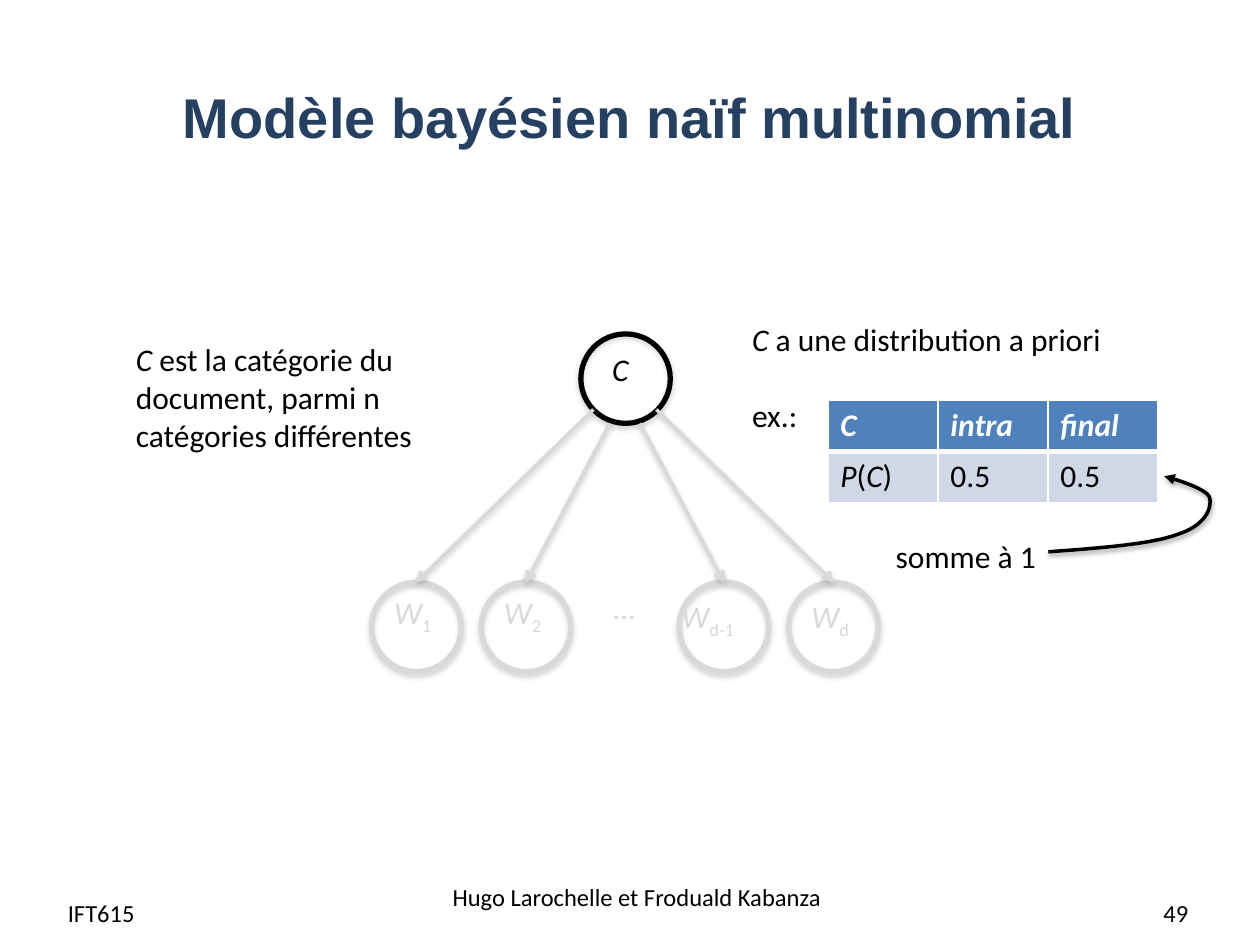
from lxml import etree
from pptx import Presentation
from pptx.dml.color import RGBColor
from pptx.enum import shapes, text
from pptx.oxml import ns
from pptx.util import Inches, Pt

BLACK, WHITE, GREY, NAVY = "000000", "FFFFFF", "D9D9D9", "254061"
HEADER, BODY = "4F81BD", "D0D8E8"
NODE = 0.71
ROOT_LEFT, ROOT_TOP, LEAF_TOP = 4.61, 2.65, 4.62


def color(code):
    return RGBColor.from_string(code)


def add_child(parent, tag, **attributes):
    child = etree.SubElement(parent, ns.qn(tag))
    for name, value in attributes.items():
        child.set(name, str(value))
    return child


def add_shadow(item, tone, alpha, distance):
    properties = item._element.spPr
    effects = properties.find(ns.qn("a:effectLst"))
    if effects is None:
        effects = add_child(properties, "a:effectLst")
    shadow = add_child(effects, "a:outerShdw", blurRad=Pt(3.1), dist=Pt(distance),
                       dir=90 * 60000, algn="ctr", rotWithShape=0)
    shade = add_child(shadow, "a:srgbClr", val=tone)
    add_child(shade, "a:alpha", val=alpha * 1000)


def set_line(item, tone, width, arrow=None):
    item.line.color.rgb = color(tone)
    item.line.width = Pt(width)
    if arrow:
        add_child(item.line._get_or_add_ln(), "a:tailEnd", type=arrow)


def add_spans(para, spans, tone, size=18, font="Calibri", bold=False):
    """Add (words, style) runs; style may hold "i" for italic or "_" for subscript."""
    for words, style in spans:
        span = para.add_run()
        span.text = words
        span.font.name = font
        span.font.size = Pt(size)
        span.font.bold = bold
        span.font.italic = "i" in style
        span.font.color.rgb = color(tone)
        if "_" in style:
            span._r.get_or_add_rPr().set("baseline", "-25000")


def add_text(page, place, spans, tone=BLACK, align="LEFT", anchor="TOP", **style):
    box = page.shapes.add_textbox(*map(Inches, place))
    frame = box.text_frame
    frame.word_wrap = True
    frame.vertical_anchor = getattr(text.MSO_ANCHOR, anchor)
    para = frame.paragraphs[0]
    para.alignment = getattr(text.PP_ALIGN, align)
    add_spans(para, spans, tone, **style)
    return frame


def add_node(page, left, top, tone):
    node = page.shapes.add_shape(shapes.MSO_SHAPE.OVAL, Inches(left), Inches(top),
                                 Inches(NODE), Inches(NODE))
    node.fill.background()
    set_line(node, tone, 3)
    node.shadow.inherit = False
    add_shadow(node, "808080", 35, 1.8)


def add_arrow(page, start, end):
    arrow = page.shapes.add_connector(shapes.MSO_CONNECTOR.STRAIGHT,
                                      *map(Inches, start + end))
    set_line(arrow, GREY, 2, "arrow")
    add_shadow(arrow, "808080", 38, 1.6)


def add_curve(page, start, segments, steps=16):
    """Draw cubic Bezier segments as a finely divided outline."""
    points, origin = [], start
    for first, second, end in segments:
        for step in range(1, steps + 1):
            t = step / steps
            s = 1 - t
            points.append(tuple(
                Inches(s**3 * a + 3 * s * s * t * b + 3 * s * t * t * c + t**3 * d)
                for a, b, c, d in zip(origin, first, second, end)))
        origin = end
    builder = page.shapes.build_freeform(*map(Inches, start))
    builder.add_line_segments(points, close=False)
    curve = builder.convert_to_shape()
    curve.fill.background()
    set_line(curve, BLACK, 2, "triangle")
    curve.shadow.inherit = False
    add_shadow(curve, BLACK, 38, 1.6)


def add_borders(cell, bottom):
    properties = cell._tc.get_or_add_tcPr()
    widths = {"a:lnL": 1, "a:lnR": 1, "a:lnT": 1, "a:lnB": bottom}
    for index, (tag, width) in enumerate(widths.items()):
        edge = etree.Element(ns.qn(tag), w=str(Pt(width)))
        add_child(add_child(edge, "a:solidFill"), "a:srgbClr", val=WHITE)
        properties.insert(index, edge)


def add_prior_table(page):
    rows = [
        [[("C", "i")], [("intra", "i")], [("final", "i")]],
        [[("P", "i"), ("(", ""), ("C", "i"), (")", "")], [("0.5", "")], [("0.5", "")]],
    ]
    looks = [(HEADER, WHITE, True, 3), (BODY, BLACK, False, 1)]
    table = page.shapes.add_table(2, 3, Inches(6.57), Inches(3.18),
                                  Inches(2.62), Inches(0.81)).table
    for r, (row, (fill, tone, bold, bottom)) in enumerate(zip(rows, looks)):
        for c, spans in enumerate(row):
            cell = table.cell(r, c)
            cell.fill.solid()
            cell.fill.fore_color.rgb = color(fill)
            add_borders(cell, bottom)
            add_spans(cell.text_frame.paragraphs[0], spans, tone, bold=bold)


def add_network(page):
    # Leaf left edge, start of its arrow, subscript, label position and width
    leaves = [
        (2.95, (4.71, 3.25), "1", (3.03, 4.66), 0.71),
        (3.82, (4.84, 3.36), "2", (3.90, 4.66), 0.79),
        (5.39, (5.08, 3.36), "d-1", (5.31, 4.69), 0.95),
        (6.26, (5.21, 3.25), "d", (6.34, 4.69), 0.79),
    ]
    add_node(page, ROOT_LEFT, ROOT_TOP, BLACK)
    for left, *_ in leaves:
        add_node(page, left, LEAF_TOP, GREY)
    add_text(page, (4.76, 4.62, 0.55, 0.51), [("...", "")], GREY)
    for left, start, *_ in leaves:
        add_arrow(page, start, (left + NODE / 2, LEAF_TOP))
    add_text(page, (4.76, 2.73, 0.55, 0.51), [("C", "i")])
    for _, _, index, corner, width in leaves:
        add_text(page, (*corner, width, 0.5), [("W", "i"), (index, "_")], GREY)


def add_footer(page):
    for place, words, align in [
        ((0.44, 7.04, 1.93, 0.4), "IFT615", "LEFT"),
        ((3.47, 6.92, 3.17, 0.4), "Hugo Larochelle et Froduald Kabanza", "CENTER"),
        ((7.2, 7.04, 2.33, 0.4), "49", "RIGHT"),
    ]:
        add_text(page, place, [(words, "")], align=align, anchor="MIDDLE", size=14)


def main():
    deck = Presentation()
    deck.slide_width, deck.slide_height = Inches(10), Inches(7.5)
    page = deck.slides.add_slide(deck.slide_layouts[6])

    add_text(page, (0.5, 0.3, 9, 1.25), [("Modèle bayésien naïf multinomial", "")], NAVY,
             "CENTER", "MIDDLE", size=32, font="Arial", bold=True)
    add_footer(page)
    add_network(page)
    add_text(page, (0.98, 2.65, 3.15, 1.01), [
        ("C", "i"),
        (" est la catégorie du document, parmi n catégories différentes", "")])
    prior = add_text(page, (5.87, 2.49, 3.15, 1.01),
                     [("C", "i"), (" a une distribution a priori", "")])
    example = prior.add_paragraph()
    example.space_before = Pt(22)
    add_spans(example, [("ex.:", "")], BLACK)
    add_prior_table(page)
    add_curve(page, (8.32, 4.38), [
        ((8.73, 4.35), (9.14, 4.32), (9.35, 4.24)),
        ((9.57, 4.17), (9.62, 4.03), (9.6, 3.95)),
        ((9.58, 3.87), (9.24, 3.78), (9.24, 3.78)),
    ])
    add_text(page, (7.01, 4.21, 1.38, 0.4), [("somme à 1", "")])
    deck.save("out.pptx")


if __name__ == "__main__":
    main()
